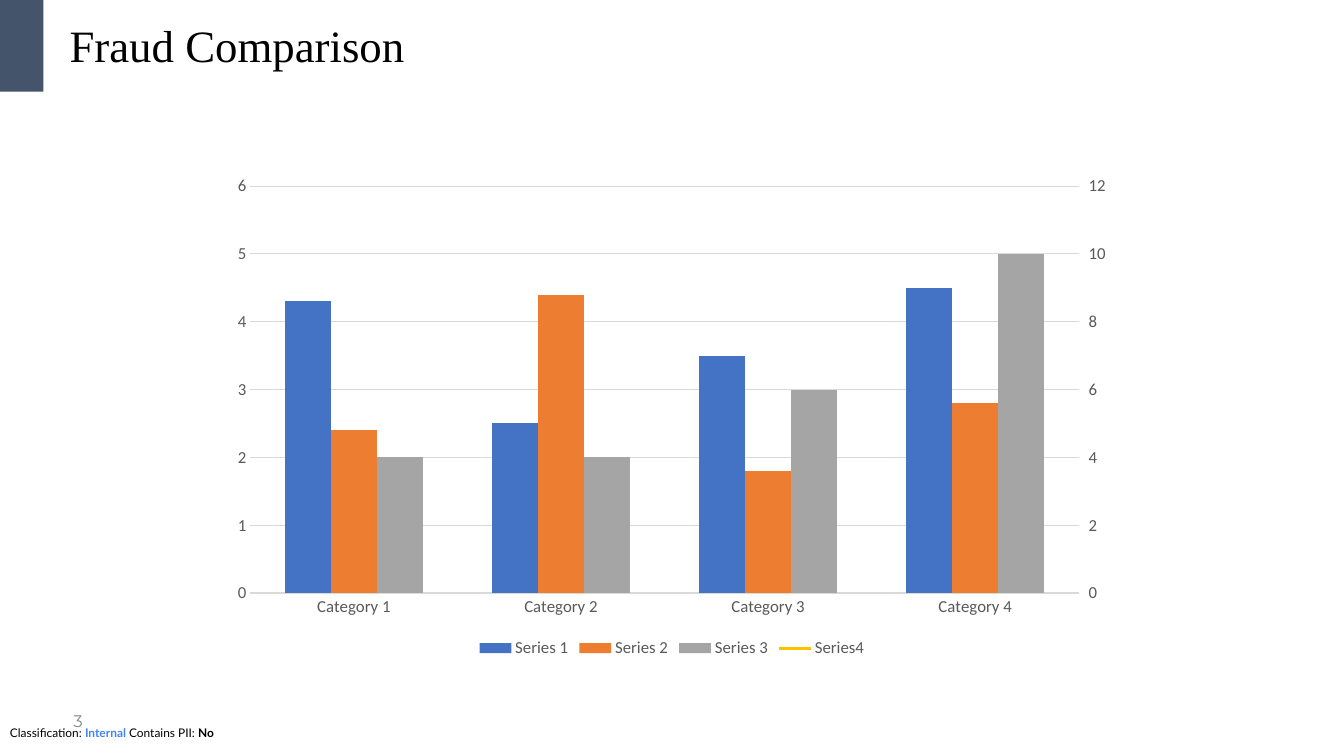
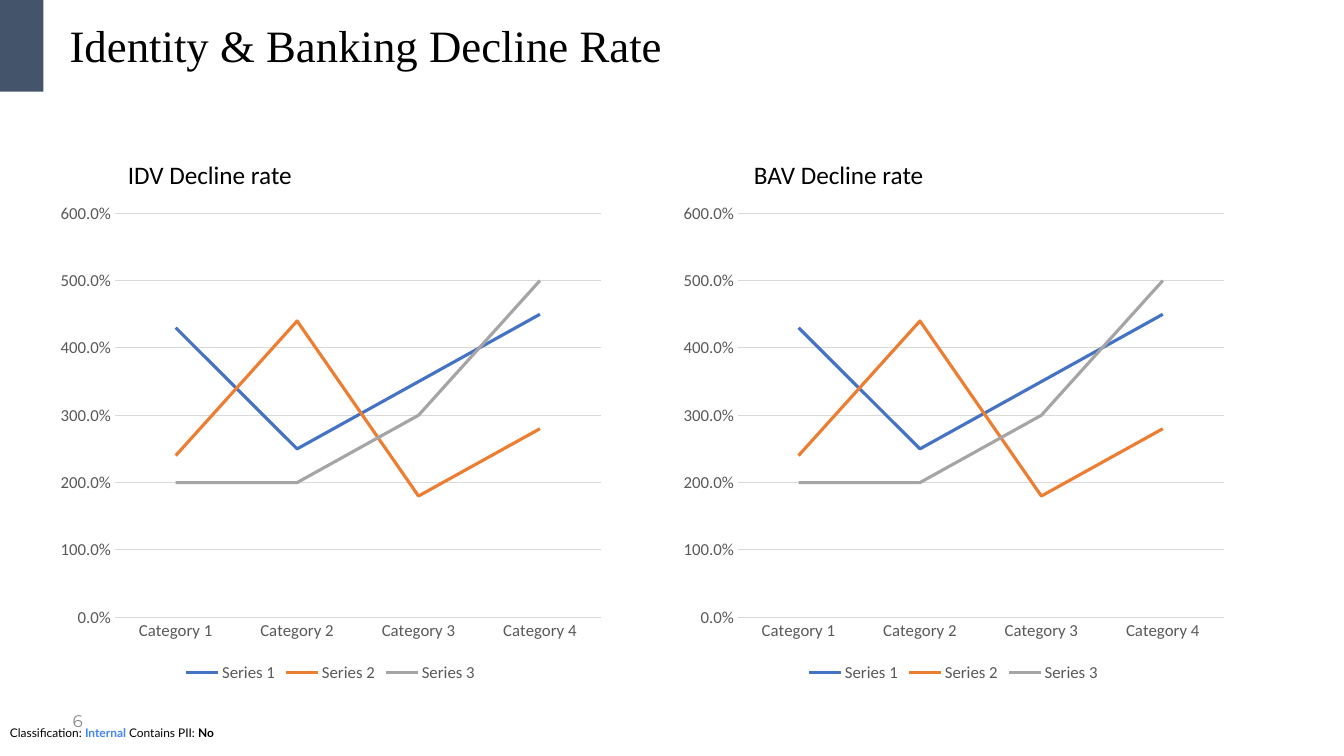
"""Build two slides of fraud and decline charts."""
from pptx import Presentation
from pptx.chart.axis import ValueAxis
from pptx.chart.data import CategoryChartData
from pptx.dml.color import RGBColor
from pptx.enum.chart import XL_CHART_TYPE, XL_LEGEND_POSITION, XL_MARKER_STYLE, XL_TICK_MARK
from pptx.enum.shapes import MSO_SHAPE
from pptx.enum.text import MSO_ANCHOR, PP_ALIGN
from pptx.oxml import parse_xml
from pptx.oxml.ns import nsdecls, qn
from pptx.util import Pt

BARS, LINES = XL_CHART_TYPE.COLUMN_CLUSTERED, XL_CHART_TYPE.LINE
BOTTOM = XL_LEGEND_POSITION.BOTTOM
PLAIN = XL_MARKER_STYLE.NONE
NO_TICK, OUT = XL_TICK_MARK.NONE, XL_TICK_MARK.OUTSIDE
RECT = MSO_SHAPE.RECTANGLE
TOP, MIDDLE = MSO_ANCHOR.TOP, MSO_ANCHOR.MIDDLE
LEFT, RIGHT = PP_ALIGN.LEFT, PP_ALIGN.RIGHT

COLORS = {
    "black": "000000", "band": "44546A", "link": "4285F4", "page": "888888",
    "label": "595959", "grid": "D9D9D9", "blue": "4472C4", "orange": "ED7D31",
    "gray": "A5A5A5", "gold": "FFC000",
}
HUES = ("blue", "orange", "gray", "gold")
CATS = [f"Category {n}" for n in range(1, 5)]
DATA = {
    "Series 1": (4.3, 2.5, 3.5, 4.5),
    "Series 2": (2.4, 4.4, 1.8, 2.8),
    "Series 3": (2, 2, 3, 5),
}
EMPTY = {"Series4": (None,) * 4}
FOOTER = (("Classification: ", "black", False), ("Internal", "link", True),
          (" Contains PII: ", "black", False), ("No", "black", True))


def color(name):
    """Return the named colour."""
    return RGBColor.from_string(COLORS[name])


def set_font(font, size, hue, face="Calibri", bold=False):
    """Set the look of a font."""
    font.size, font.name, font.bold = Pt(size), face, bold
    font.color.rgb = color(hue)


def set_line(line, hue, width):
    """Set the colour and width of a line."""
    line.color.rgb = color(hue)
    line.width = Pt(width)


def write(frame, runs, size, face, align=LEFT, anchor=TOP):
    """Fill a text frame with one paragraph of runs."""
    frame.word_wrap = True
    frame.vertical_anchor = anchor
    para = frame.paragraphs[0]
    para.alignment = align
    for text, hue, bold in runs:
        run = para.add_run()
        run.text = text
        set_font(run.font, size, hue, face, bold)
    return para


def add_text(slide, box, runs, size, face="Calibri", **place):
    """Add a text box."""
    shape = slide.shapes.add_textbox(*map(Pt, box))
    write(shape.text_frame, runs, size, face, **place)
    return shape


def add_band(slide):
    """Add the corner band."""
    band = slide.shapes.add_shape(RECT, 0, 0, Pt(31), Pt(65.5))
    band.shadow.inherit = False
    band.fill.solid()
    band.fill.fore_color.rgb = color("band")
    band.line.fill.background()
    return band


def share(slide):
    """Move the band and the footer to the layout."""
    footer = add_text(slide, (0, 514.8, 960, 17.3), FOOTER, 8.5, "Lato")
    for num, shape in enumerate((footer, add_band(slide)), 101):
        shape.element.find(".//" + qn("p:cNvPr")).set("id", str(num))
        slide.slide_layout.shapes.element.append(shape.element)


def add_slide(deck, title, page):
    """Add a slide with its title and page number."""
    slide = deck.slides.add_slide(deck.slide_layouts[5])
    head = slide.shapes.title
    head.left, head.top, head.width, head.height = map(Pt, (42.5, 8, 833, 52))
    para = write(head.text_frame, [(title, "black", False)], 32, "Times New Roman", anchor=MIDDLE)
    para.line_spacing = 0.9
    add_text(slide, (35.3, 500.4, 31, 28.8), [(page, "page", False)], 12, "Montserrat",
             align=RIGHT, anchor=MIDDLE)
    return slide


def set_scale(axis, top, step, tick=NO_TICK):
    """Set the range and look of a value axis."""
    axis.minimum_scale, axis.maximum_scale, axis.major_unit = 0, top, step
    axis.major_tick_mark = tick
    axis.format.line.fill.background()
    set_font(axis.tick_labels.font, 12, "label")


def add_chart(slide, kind, box, data, form):
    """Add a chart with styled axes, legend and series."""
    source = CategoryChartData()
    source.categories = CATS
    for name, vals in data.items():
        source.add_series(name, vals)
    chart = slide.shapes.add_chart(kind, *map(Pt, box), source).chart
    chart.has_title = False
    set_font(chart.font, 10, "black")
    chart.has_legend = True
    chart.legend.position = BOTTOM
    chart.legend.include_in_layout = False
    set_font(chart.legend.font, 12, "label")
    base, side = chart.category_axis, chart.value_axis
    base.major_tick_mark = NO_TICK
    set_font(base.tick_labels.font, 12, "label")
    set_line(base.format.line, "grid", 0.75)
    set_scale(side, 6, 1)
    side.tick_labels.number_format = form
    side.tick_labels.number_format_is_linked = False
    set_line(side.major_gridlines.format.line, "grid", 0.75)
    plot = chart.plots[0]
    plot.vary_by_categories = False
    for item, hue in zip(plot.series, HUES):
        if kind == LINES:
            set_line(item.format.line, hue, 2.25)
            item.smooth = False
        else:
            item.format.fill.solid()
            item.format.fill.fore_color.rgb = color(hue)
    return chart


def add_right(chart):
    """Turn the last bar series into a line on a right axis."""
    bars = chart.element.find(".//" + qn("c:barChart"))
    item = bars.findall(qn("c:ser"))[-1]
    for tag in ("c:invertIfNegative", "c:spPr"):
        for part in item.findall(qn(tag)):
            item.remove(part)
    space = nsdecls("c")
    plot = parse_xml(
        f'<c:lineChart {space}><c:grouping val="standard"/><c:varyColors val="0"/>'
        '<c:marker val="1"/><c:axId val="501"/><c:axId val="502"/></c:lineChart>')
    plot.insert(2, item)
    bars.addnext(plot)
    side = parse_xml(
        f'<c:valAx {space}><c:axId val="502"/><c:scaling><c:orientation val="minMax"/></c:scaling>'
        '<c:delete val="0"/><c:axPos val="r"/><c:numFmt formatCode="General" sourceLinked="0"/>'
        '<c:majorTickMark val="out"/><c:minorTickMark val="none"/><c:tickLblPos val="nextTo"/>'
        '<c:crossAx val="501"/><c:crosses val="max"/></c:valAx>')
    base = parse_xml(
        f'<c:catAx {space}><c:axId val="501"/><c:scaling><c:orientation val="minMax"/></c:scaling>'
        '<c:delete val="1"/><c:axPos val="b"/><c:crossAx val="502"/></c:catAx>')
    last = chart.element.findall(".//" + qn("c:valAx"))[-1]
    last.addnext(side)
    side.addnext(base)
    set_scale(ValueAxis(side), 12, 2, OUT)
    line = chart.plots[1].series[0]
    set_line(line.format.line, "gold", 2.25)
    line.marker.style = PLAIN
    line.smooth = False


def main():
    """Build and save the deck."""
    deck = Presentation()
    deck.slide_width, deck.slide_height = Pt(960), Pt(540)

    slide = add_slide(deck, "Fraud Comparison", "3")
    share(slide)
    chart = add_chart(slide, BARS, (157, 118.8, 645.8, 354.2), DATA | EMPTY, "#,##0")
    chart.plots[0].gap_width = 150
    add_right(chart)

    slide = add_slide(deck, "Identity & Banking Decline Rate", "6")
    for name, left, inset in (("IDV", 35.3, 84.2), ("BAV", 480.2, 531.4)):
        add_chart(slide, LINES, (left, 138.2, 401.8, 352.1), DATA, "0.0%")
        add_text(slide, (inset, 110.2, 274.3, 28.8),
                 [(f"{name} Decline rate", "black", False)], 18)

    deck.save("out.pptx")


if __name__ == "__main__":
    main()
